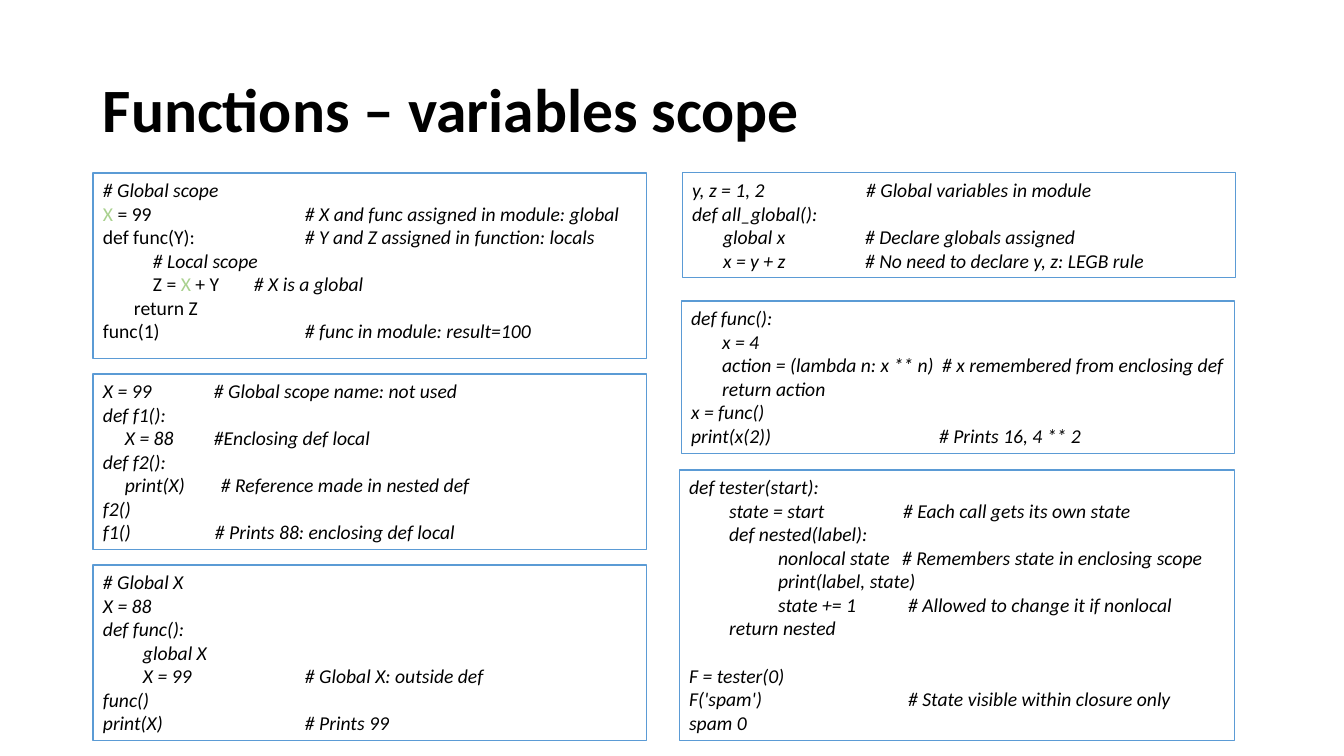
from dataclasses import dataclass

from lxml.etree import SubElement
from pptx import Presentation
from pptx.dml.color import RGBColor as RGB
from pptx.enum.shapes import MSO_SHAPE as SHAPE
from pptx.enum.text import MSO_ANCHOR as ANCHOR, PP_ALIGN as ALIGN
from pptx.oxml.ns import qn
from pptx.util import Emu, Inches, Pt


@dataclass(frozen=True)
class Theme:
    font: str = "Calibri"
    ink: str = "000000"
    accent: str = "A9D18E"
    border: str = "5B9BD5"
    title_size: int = 44
    code_size: int = 14
    border_width: float = 0.75
    blank_line: int = 17


THEME = Theme()
PX = 914400 / 100.8

TITLE = "Functions – variables scope"
TITLE_BOX = (93, 40, 1159, 146)

# A line of code: indent px, code, comment position px, comment
GLOBAL_LOCAL = [
    (0, "", 0, "# Global scope"),
    (0, [("X", THEME.accent), (" = 99", THEME.ink)], 202,
     "# X and func assigned in module: global"),
    (0, "def func(Y):", 202, "# Y and Z assigned in function: locals"),
    (50, "", 0, "# Local scope"),
    (50, [("Z = ", THEME.ink), ("X ", THEME.accent), ("+ Y", THEME.ink)], 151,
     "# X is a global"),
    (31, "return Z", 0, ""),
    (0, "func(1)", 202, "# func in module: result=100"),
]
ENCLOSING_DEF = [
    (0, "X = 99", 111, "# Global scope name: not used"),
    (0, "def f1():", 0, ""),
    (22, "X = 88", 111, "#Enclosing def local"),
    (0, "def f2():", 0, ""),
    (22, "print(X)", 118, "# Reference made in nested def"),
    (0, "f2()", 0, ""),
    (0, "f1()", 112, "# Prints 88: enclosing def local"),
]
GLOBAL_STATEMENT = [
    (0, "# Global X", 0, ""),
    (0, "X = 88", 0, ""),
    (0, "def func():", 0, ""),
    (40, "global X", 0, ""),
    (40, "X = 99", 202, "# Global X: outside def"),
    (0, "func()", 0, ""),
    (0, "print(X)", 202, "# Prints 99"),
]
ALL_GLOBAL = [
    (0, "y, z = 1, 2", 174, "# Global variables in module"),
    (0, "def all_global():", 0, ""),
    (31, "global x", 173, "# Declare globals assigned"),
    (31, "x = y + z", 173, "# No need to declare y, z: LEGB rule"),
]
LAMBDA_SCOPE = [
    (0, "def func():", 0, ""),
    (31, "x = 4", 0, ""),
    (31, "action = (lambda n: x ** n)", 251, "# x remembered from enclosing def"),
    (31, "return action", 0, ""),
    (0, "x = func()", 0, ""),
    (0, "print(x(2))", 248, "# Prints 16, 4 ** 2"),
]
NONLOCAL_STATE = [
    (0, "def tester(start):", 0, ""),
    (40, "state = start", 214, "# Each call gets its own state"),
    (40, "def nested(label):", 0, ""),
    (89, "nonlocal state", 213, "# Remembers state in enclosing scope"),
    (89, "print(label, state)", 0, ""),
    (89, "state += 1", 219, "# Allowed to change it if nonlocal"),
    (40, "return nested", 0, ""),
    (0, "F = tester(0)", 0, ""),
    (0, "F('spam')", 219, "# State visible within closure only"),
    (0, "spam 0", 0, ""),
]
# Box, lines, code in italics, lines that follow a gap
EXAMPLES = [
    ((93, 173, 553, 186), GLOBAL_LOCAL, False, ()),
    ((93, 374, 553, 176), ENCLOSING_DEF, True, ()),
    ((93, 565, 553, 176), GLOBAL_STATEMENT, True, ()),
    ((682, 173, 553, 105), ALL_GLOBAL, True, ()),
    ((681, 301, 553, 153), LAMBDA_SCOPE, True, ()),
    ((679, 470, 555, 271), NONLOCAL_STATE, True, (7,)),
]


def px(length):
    return Emu(round(length * PX))


def write(paragraph, text, *, size=THEME.code_size, color=THEME.ink, bold=False, italic=False):
    run = paragraph.add_run()
    run.text = text
    font = run.font
    font.name, font.size, font.bold, font.italic = THEME.font, Pt(size), bold, italic
    font.color.rgb = RGB.from_string(color)


def set_tab_stops(paragraph, stops):
    tab_list = SubElement(paragraph._p.get_or_add_pPr(), qn("a:tabLst"))
    for stop in stops:
        SubElement(tab_list, qn("a:tab"), pos=str(px(stop)), algn="l")


def add_title(slide):
    frame = slide.shapes.add_textbox(*map(px, TITLE_BOX)).text_frame
    frame.word_wrap = True
    frame.vertical_anchor = ANCHOR.MIDDLE
    heading = frame.paragraphs[0]
    heading.line_spacing = 0.9
    write(heading, TITLE, size=THEME.title_size, bold=True)


def add_line(paragraph, line, italic):
    indent, code, comment_at, comment = line
    stops = [stop for stop in (indent, comment_at) if stop]
    if stops:
        set_tab_stops(paragraph, stops)
    if indent:
        write(paragraph, "\t", italic=italic)
    parts = [(code, THEME.ink)] if isinstance(code, str) else code
    for text, color in parts:
        if text:
            write(paragraph, text, color=color, italic=italic)
    if comment:
        write(paragraph, ("\t" if comment_at else "") + comment, italic=True)


def add_example(slide, box, lines, italic, after_gap):
    panel = slide.shapes.add_shape(SHAPE.RECTANGLE, *map(px, box))
    panel.shadow.inherit = False
    panel.fill.background()
    panel.line.color.rgb = RGB.from_string(THEME.border)
    panel.line.width = Pt(THEME.border_width)
    frame = panel.text_frame
    frame.word_wrap = True
    frame.vertical_anchor = ANCHOR.TOP
    frame.margin_right = px(4)
    for number, line in enumerate(lines):
        paragraph = frame.add_paragraph() if number else frame.paragraphs[0]
        paragraph.alignment = ALIGN.LEFT
        if number in after_gap:
            paragraph.space_before = Pt(THEME.blank_line)
        add_line(paragraph, line, italic)


def main():
    deck = Presentation()
    deck.slide_width, deck.slide_height = Inches(13.33), Inches(7.5)
    slide = deck.slides.add_slide(deck.slide_layouts[6])
    add_title(slide)
    for example in EXAMPLES:
        add_example(slide, *example)
    deck.save("out.pptx")


if __name__ == "__main__":
    main()
